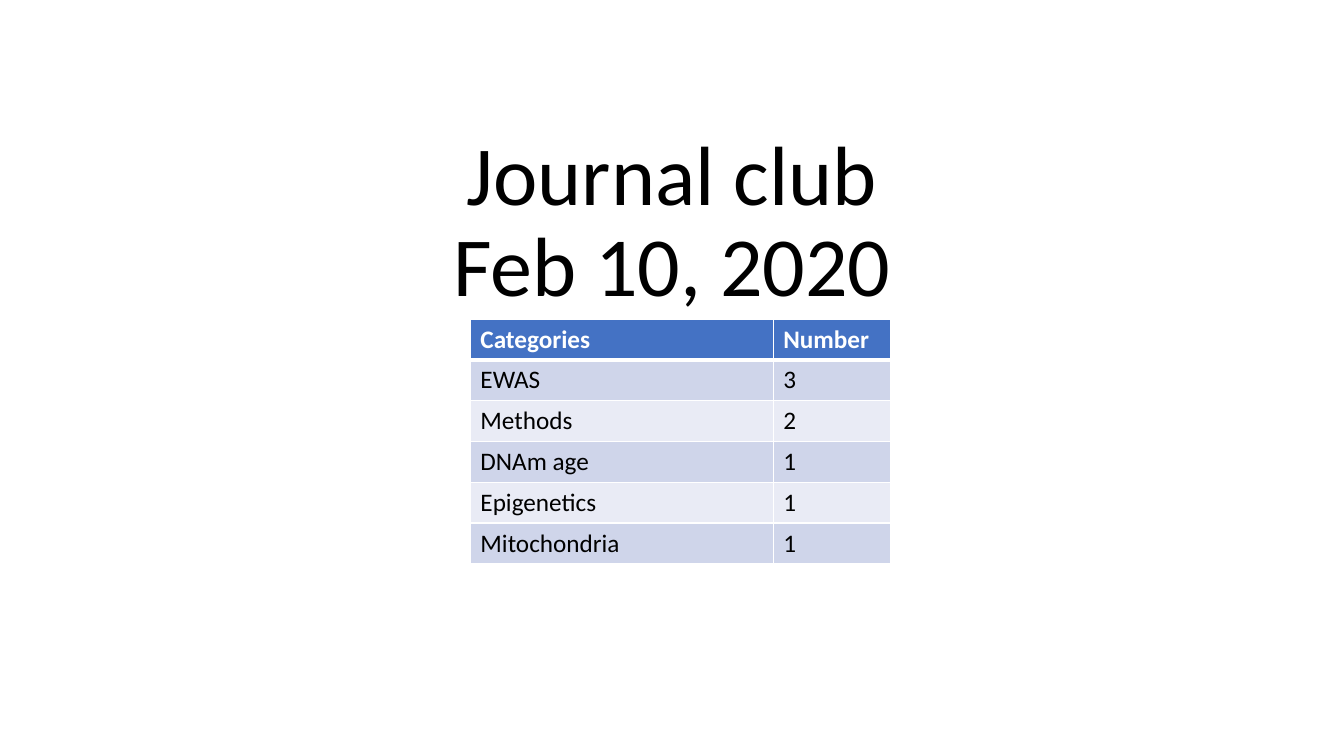
from dataclasses import dataclass

import pptx
import pptx.dml.color
import pptx.enum.text
import pptx.oxml
import pptx.oxml.ns
import pptx.util
from lxml import etree

RGBColor = pptx.dml.color.RGBColor
BLACK = RGBColor(0x00, 0x00, 0x00)
WHITE = RGBColor(0xFF, 0xFF, 0xFF)
HEADER_BLUE = RGBColor(0x44, 0x72, 0xC4)
BAND_DARK = RGBColor(0xCF, 0xD5, 0xEA)
BAND_LIGHT = RGBColor(0xE9, 0xEB, 0xF5)

FONT = "Calibri"
SLIDE_W = pptx.util.Inches(13.33)
SLIDE_H = pptx.util.Inches(7.5)


@dataclass(frozen=True)
class Box:
    """A rectangle in shares of the slide's width and height."""
    left: float
    top: float
    width: float
    height: float

    def emu(self) -> tuple[int, int, int, int]:
        return (int(self.left * SLIDE_W), int(self.top * SLIDE_H),
                int(self.width * SLIDE_W), int(self.height * SLIDE_H))


@dataclass(frozen=True)
class Category:
    name: str
    number: str


TITLE_BOX = Box(1 / 8, 0.075, 3 / 4, 0.348)
TABLE_BOX = Box(0.35, 0.422, 0.313, 0.324)
NAME_SHARE = 0.72
HEADER = Category("Categories", "Number")
CATEGORIES = [
    Category("EWAS", "3"),
    Category("Methods", "2"),
    Category("DNAm age", "1"),
    Category("Epigenetics", "1"),
    Category("Mitochondria", "1"),
]


def style_paragraph(p, size: float, color: RGBColor, bold: bool = False) -> None:
    p.font.name = FONT
    p.font.size = pptx.util.Pt(size)
    p.font.bold = bold
    p.font.color.rgb = color


def set_borders(cell, bottom: float = 1, top: float = 1) -> None:
    """Draw white cell borders, with widths in points."""
    qn = pptx.oxml.ns.qn
    tc_pr = cell._tc.get_or_add_tcPr()
    widths = {"a:lnL": 1, "a:lnR": 1, "a:lnT": top, "a:lnB": bottom}
    for i, (tag, width) in enumerate(widths.items()):
        ln = etree.Element(qn(tag), w=str(pptx.util.Pt(width)))
        fill = etree.SubElement(ln, qn("a:solidFill"))
        etree.SubElement(fill, qn("a:srgbClr"), val=str(WHITE))
        tc_pr.insert(i, ln)


def add_title(s, text: str) -> None:
    tf = s.shapes.add_textbox(*TITLE_BOX.emu()).text_frame
    tf.word_wrap = True
    tf.vertical_anchor = pptx.enum.text.MSO_ANCHOR.BOTTOM
    p = tf.paragraphs[0]
    p.text = text
    p.alignment = pptx.enum.text.PP_ALIGN.CENTER
    p.line_spacing = 0.9
    style_paragraph(p, 60, BLACK)


def add_category_table(s, rows: list[Category]) -> None:
    left, top, width, height = TABLE_BOX.emu()
    table = s.shapes.add_table(len(rows), 2, left, top, width, height).table
    table.columns[0].width = int(width * NAME_SHARE)
    table.columns[1].width = width - table.columns[0].width
    for i, row in enumerate(rows):
        is_header = i == 0
        band = BAND_DARK if i % 2 else BAND_LIGHT
        for j, text in enumerate((row.name, row.number)):
            cell = table.cell(i, j)
            cell.text = text
            cell.fill.solid()
            cell.fill.fore_color.rgb = HEADER_BLUE if is_header else band
            set_borders(cell, bottom=3 if is_header else 1, top=3 if i == 1 else 1)
            style_paragraph(cell.text_frame.paragraphs[0], 18,
                            WHITE if is_header else BLACK, is_header)


def main() -> None:
    prs = pptx.Presentation()
    prs.slide_width, prs.slide_height = SLIDE_W, SLIDE_H
    s = prs.slides.add_slide(prs.slide_layouts[6])

    # Title above the table
    add_title(s, "Journal club\vFeb 10, 2020")

    # Papers per category
    add_category_table(s, [HEADER, *CATEGORIES])

    prs.save("out.pptx")


if __name__ == "__main__":
    main()
